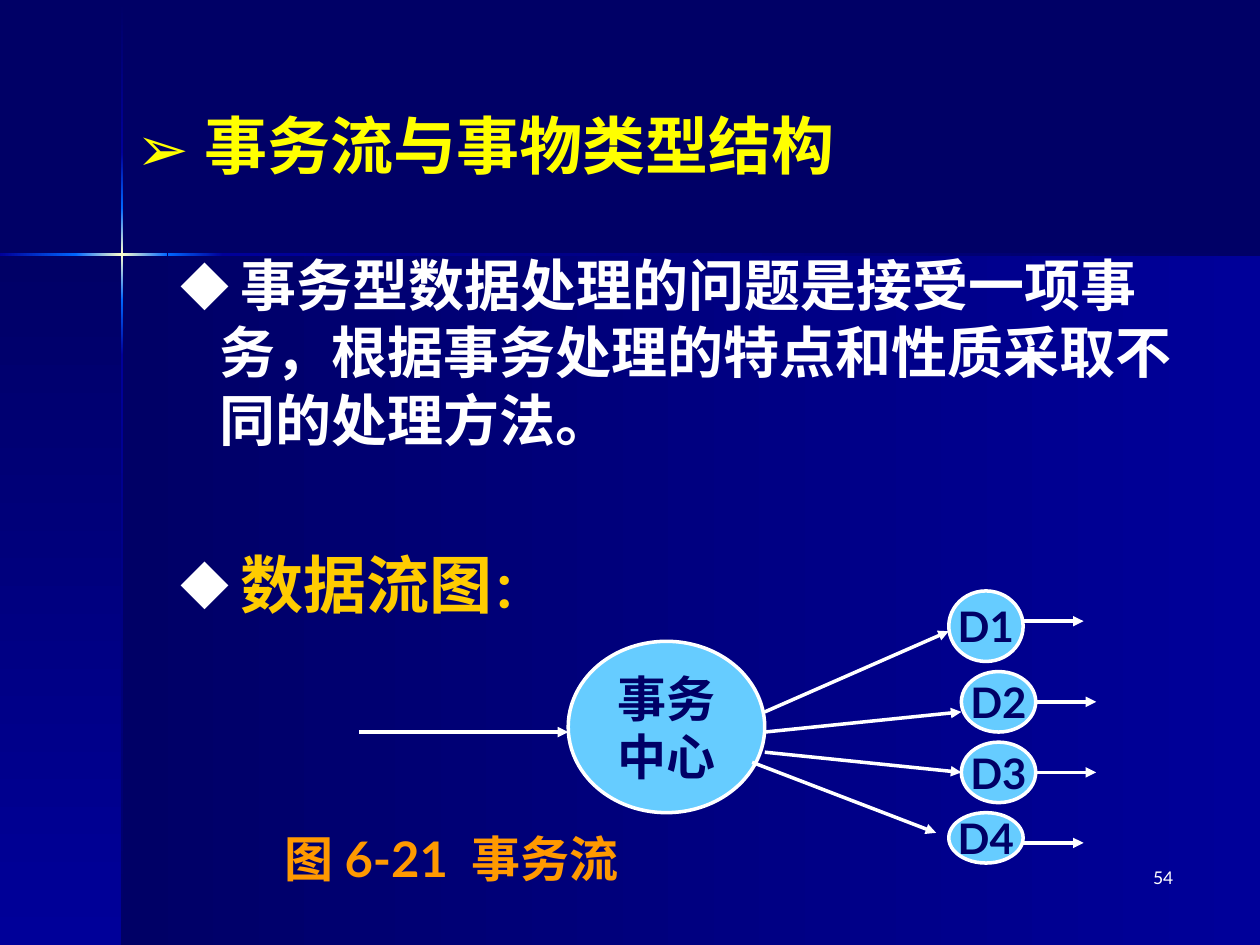
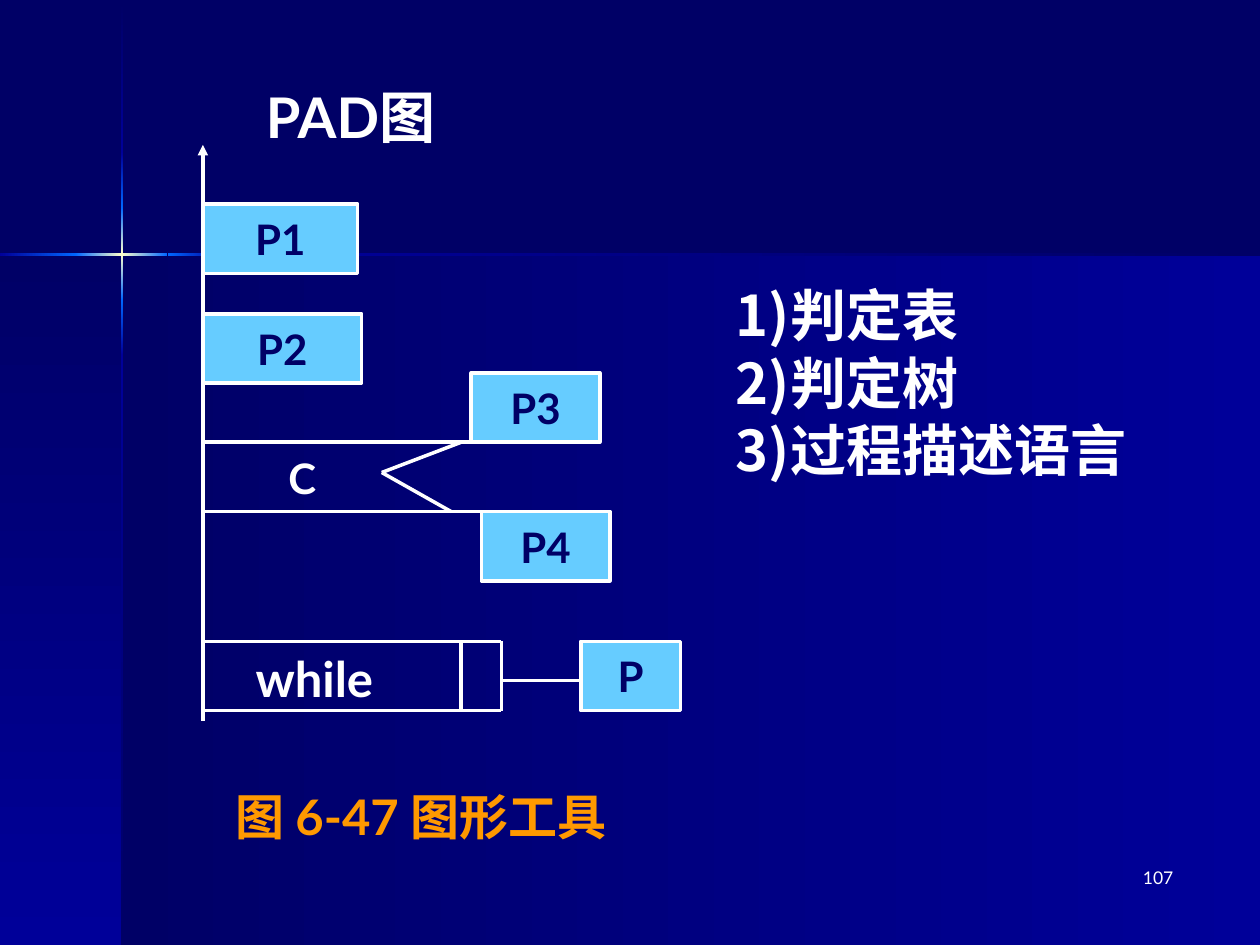
from lxml import etree
from pptx import Presentation
from pptx.dml.color import RGBColor
from pptx.enum.shapes import MSO_CONNECTOR, MSO_SHAPE
from pptx.enum.text import MSO_ANCHOR, MSO_AUTO_SIZE, PP_ALIGN
from pptx.oxml.ns import qn
from pptx.util import Inches, Pt

NAVY = RGBColor(0x00, 0x00, 0x66)
BLUE = RGBColor(0x00, 0x00, 0x99)
GLOW = RGBColor(0x00, 0x66, 0xFF)
CREAM = RGBColor(0xFF, 0xFF, 0xCC)
SKY = RGBColor(0x66, 0xCC, 0xFF)
WHITE = RGBColor(0xFF, 0xFF, 0xFF)
YELLOW = RGBColor(0xFF, 0xFF, 0x00)
GOLD = RGBColor(0xFF, 0xCC, 0x00)
ORANGE = RGBColor(0xFF, 0x99, 0x00)
LATO, NOTO = "Lato", "Noto Sans CJK SC"

DOWN, LEFTWARD = 90, 180
# left, top, width, height, gradient direction, gradient colours
BANDS = [
    (0.97, 2.02, 9.03, 5.48, LEFTWARD, (BLUE, NAVY)),
    (0, 2.02, 0.97, 5.48, DOWN, (NAVY, BLUE)),
    (0.96, 0.01, 0.02, 1.2, DOWN, (NAVY, BLUE)),
    (0.96, 2.82, 0.02, 4.68, DOWN, (BLUE, NAVY)),
    (1.77, 2.01, 8.23, 0.02, LEFTWARD, (NAVY, BLUE)),
    (0.96, 2.38, 0.02, 0.44, DOWN, (GLOW, BLUE)),
    (0.96, 1.21, 0.02, 0.44, DOWN, (BLUE, GLOW)),
    (0.96, 1.65, 0.02, 0.73, DOWN, (GLOW, CREAM, GLOW)),
    (0, 2.01, 0.61, 0.02, LEFTWARD, (GLOW, BLUE)),
    (1.33, 2.01, 0.44, 0.02, LEFTWARD, (BLUE, GLOW)),
    (0.6, 2.01, 0.73, 0.02, LEFTWARD, (GLOW, CREAM, GLOW)),
]


def sub(parent, tag, **attrs):
    return etree.SubElement(parent, qn(tag), attrs)


def set_gradient(sp, angle, colors):
    """Fill a shape with evenly spaced colour stops."""
    sp.fill.background()
    spPr = sp._element.spPr
    old = spPr.find(qn("a:noFill"))
    grad = etree.Element(qn("a:gradFill"), rotWithShape="1")
    stops = sub(grad, "a:gsLst")
    for i, color in enumerate(colors):
        gs = sub(stops, "a:gs", pos=str(i * 100000 // (len(colors) - 1)))
        sub(gs, "a:srgbClr", val=str(color))
    sub(grad, "a:lin", ang=str(angle * 60000), scaled="0")
    spPr.replace(old, grad)


class Deck:
    def __init__(self):
        self.prs = Presentation()
        self.prs.slide_width, self.prs.slide_height = Inches(10), Inches(7.5)
        self.s = None
        fill = self.prs.slide_master.background.fill
        fill.solid()
        fill.fore_color.rgb = NAVY

    def add_slide(self, number):
        first = self.s is None
        self.s = self.prs.slides.add_slide(self.prs.slide_layouts[1])
        if first:
            self.bands_to_master()
        self.text(number, 7.33, 6.83, 2.08, 0.5, 10, bold=False, align=PP_ALIGN.RIGHT)

    def bands_to_master(self):
        """Build the glowing cross and panels, then move them behind the master's text."""
        tree = self.prs.slide_master.shapes._spTree
        for i, (x, y, w, h, angle, colors) in enumerate(BANDS):
            sp = self.s.shapes.add_shape(MSO_SHAPE.RECTANGLE, *map(Inches, (x, y, w, h)))
            sp.shadow.inherit = False
            sp.line.fill.background()
            set_gradient(sp, angle, colors)
            sp._element.nvSpPr.cNvPr.set("id", str(100 + i))
            tree.insert(2 + i, sp._element)

    def run(self, p, text, size, color=WHITE, font=LATO, bold=True):
        r = p.add_run()
        r.text = text
        r.font.name, r.font.size, r.font.bold = font, Pt(size), bold
        r.font.color.rgb = color
        sub(r._r.get_or_add_rPr(), "a:ea", typeface=NOTO)

    def bullet(self, p, left, hang, color, char=None):
        """Give a hanging bullet, or a number where no character is given."""
        pPr = p._p.get_or_add_pPr()
        pPr.set("marL", str(Inches(left)))
        pPr.set("indent", str(-Inches(hang)))
        sub(sub(pPr, "a:buClr"), "a:srgbClr", val=str(color))
        sub(pPr, "a:buFont", typeface=NOTO)
        if char:
            sub(pPr, "a:buChar", char=char)
        else:
            sub(pPr, "a:buAutoNum", type="arabicParenR")

    def placeholder(self, index, x, y, w, h, anchor=MSO_ANCHOR.TOP):
        sp = self.s.placeholders[index]
        sp.left, sp.top, sp.width, sp.height = map(Inches, (x, y, w, h))
        tf = sp.text_frame
        tf.word_wrap, tf.auto_size = True, MSO_AUTO_SIZE.NONE
        tf.vertical_anchor = anchor
        return tf

    def title(self, text, x, y, w, h, size, color=WHITE, font=LATO):
        p = self.placeholder(0, x, y, w, h, MSO_ANCHOR.MIDDLE).paragraphs[0]
        p.alignment = PP_ALIGN.LEFT
        self.run(p, text, size, color, font)
        return p

    def list(self, items, x, y, w, h, left, hang, char=None):
        """Fill the body; each item is (space before, runs)."""
        tf = self.placeholder(1, x, y, w, h)
        for i, (space, runs) in enumerate(items):
            p = tf.add_paragraph() if i else tf.paragraphs[0]
            p.space_before = Pt(space)
            self.bullet(p, left, hang, WHITE, char)
            for text, size, color in runs:
                self.run(p, text, size, color, NOTO)

    def text(self, text, x, y, w, h, size, color=WHITE, bold=True, align=PP_ALIGN.LEFT):
        tf = self.s.shapes.add_textbox(*map(Inches, (x, y, w, h))).text_frame
        tf.word_wrap = True
        p = tf.paragraphs[0]
        p.alignment = align
        self.run(p, text, size, color, bold=bold)

    def node(self, kind, lines, x, y, w, h, size=24):
        sp = self.s.shapes.add_shape(kind, *map(Inches, (x, y, w, h)))
        sp.shadow.inherit = False
        sp.fill.solid()
        sp.fill.fore_color.rgb = SKY
        sp.line.color.rgb, sp.line.width = WHITE, Pt(2)
        tf = sp.text_frame
        tf.word_wrap, tf.vertical_anchor = False, MSO_ANCHOR.MIDDLE
        for i, line in enumerate(lines):
            p = tf.add_paragraph() if i else tf.paragraphs[0]
            p.alignment = PP_ALIGN.CENTER
            self.run(p, line, size, NAVY)

    def line(self, x1, y1, x2, y2, arrow=False):
        c = self.s.shapes.add_connector(MSO_CONNECTOR.STRAIGHT, *map(Inches, (x1, y1, x2, y2)))
        c.line.color.rgb, c.line.width = WHITE, Pt(2)
        if arrow:
            sub(c.line._get_or_add_ln(), "a:tailEnd", type="triangle")
        sub(c._element.spPr, "a:effectLst")


def transaction_flow(deck):
    deck.add_slide("54")
    p = deck.title("事务流与事物类型结构", 0.98, 0.36, 8.25, 1.57, 36, YELLOW, NOTO)
    deck.bullet(p, 0.54, 0.54, YELLOW, "➢")
    deck.list([
        (8, [(" ", 28, WHITE),
             ("事务型数据处理的问题是接受一项事务，根据事务处理的特点和性质采取不同的处理方法。", 32, WHITE)]),
        (53, [(" ", 28, WHITE), ("数据流图", 36, GOLD), ("：", 28, GOLD)]),
    ], 0.83, 1.94, 8.59, 5.2, 0.81, 0.31, "◆")

    deck.node(MSO_SHAPE.OVAL, ["事务", "中心"], 4.51, 5.09, 1.56, 1.36, 28)
    deck.line(2.85, 5.81, 4.51, 5.81, arrow=True)
    # name, left, top, height, arrow in (from, to), height of arrow out
    branches = [
        ("D1", 7.53, 4.69, 0.56, (6.07, 5.65, 7.53, 5.01), 4.93),
        ("D2", 7.63, 5.33, 0.48, (6.07, 5.81, 7.63, 5.65), 5.57),
        ("D3", 7.63, 5.89, 0.48, (6.07, 5.97, 7.63, 6.13), 6.13),
        ("D4", 7.53, 6.45, 0.4, (5.97, 6.05, 7.43, 6.61), 6.69),
    ]
    width = 0.59
    for name, x, y, h, arrow_in, out_y in branches:
        deck.line(*arrow_in, arrow=True)
        deck.node(MSO_SHAPE.OVAL, [name], x, y, width, h)
        deck.line(x + width, out_y, x + width + 0.48, out_y, arrow=True)
    deck.text("图 6-21  事务流", 2.16, 6.53, 4.49, 0.57, 28, ORANGE)


def pad_diagram(deck):
    deck.add_slide("107")
    deck.title("PAD图", 2.01, 0.6, 2.36, 0.64, 32)
    deck.list([(0, [(tool, 32, WHITE)]) for tool in ("判定表", "判定树", "过程描述语言")],
              5.24, 2.18, 4.41, 3.84, 0.88, 0.38)

    axis, box_h = 1.61, 0.55
    if_top, while_top, while_right = 3.51, 5.09, 3.98
    if_bottom, while_bottom = if_top + box_h, while_top + box_h
    deck.line(axis, 5.72, axis, 1.15, arrow=True)
    for y, right in ((if_top, 4.45), (if_bottom, 4.45),
                     (while_top, while_right), (while_bottom, while_right)):
        deck.line(axis, y, right, y)
    for name, x, y, w in (("P1", axis, 1.62, 1.23), ("P2", axis, 2.49, 1.26),
                          ("P3", 3.74, if_top - box_h, 1.02), ("P4", 3.82, if_bottom, 1.02),
                          ("P", 4.61, while_top, 0.79)):
        deck.node(MSO_SHAPE.RECTANGLE, [name], x, y, w, box_h)
    deck.line(3.03, 3.75, 3.66, if_top)
    deck.line(3.03, 3.75, 3.58, if_bottom)
    for x in (3.66, while_right):
        deck.line(x, while_top, x, while_bottom)
    deck.line(while_right, 5.4, 4.61, 5.4)
    deck.text("C", 2.19, 3.54, 0.41, 0.5, 24)
    deck.text("while", 1.93, 5.1, 1.5, 0.57, 28)
    deck.text("图 6-47 图形工具", 1.77, 6.19, 4, 0.57, 28, ORANGE)


def main():
    deck = Deck()
    transaction_flow(deck)
    pad_diagram(deck)
    deck.prs.save("out.pptx")


if __name__ == "__main__":
    main()
